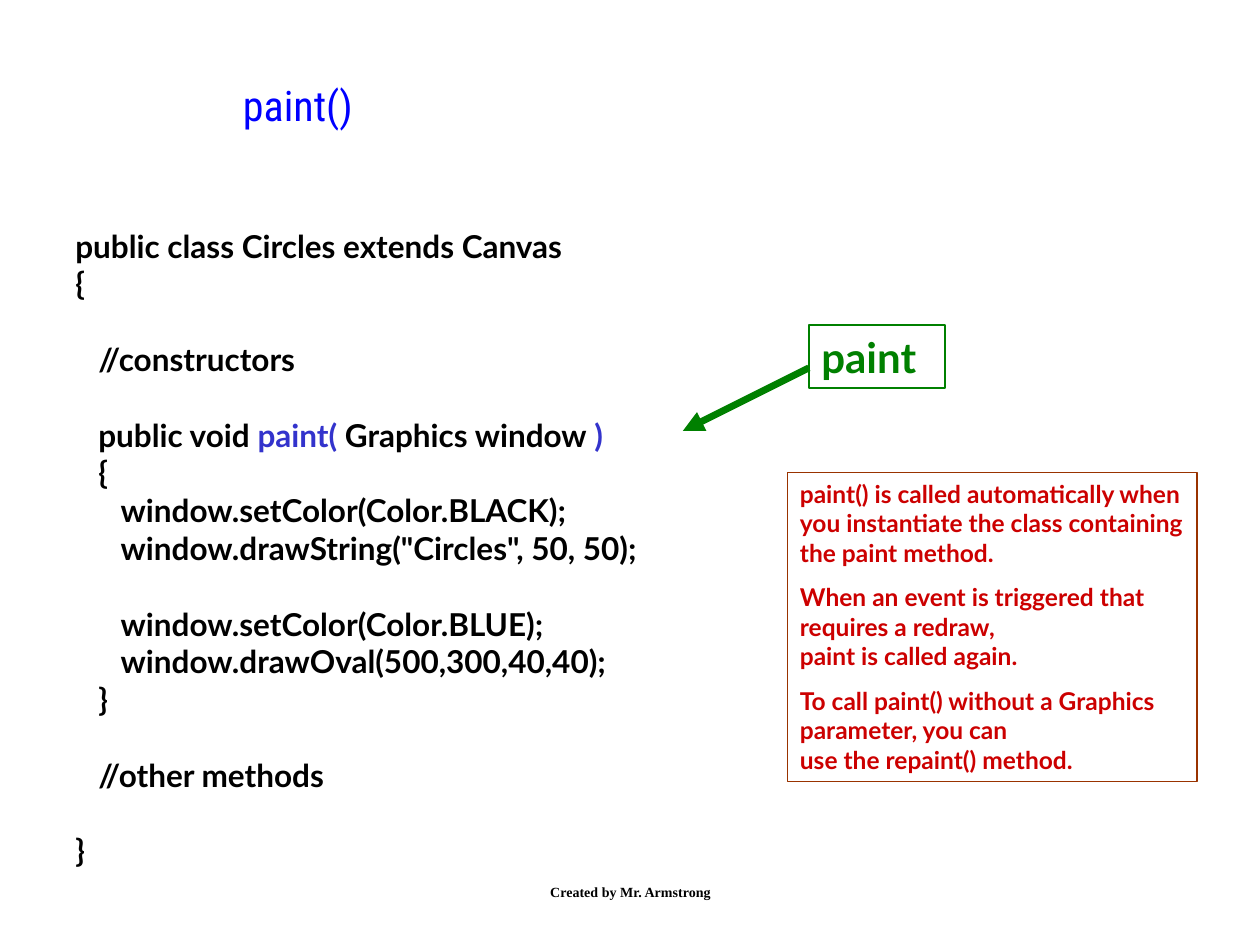
from pptx import Presentation
from pptx.dml.color import RGBColor
from pptx.enum.shapes import MSO_CONNECTOR as CONN, MSO_SHAPE as SHAPE
from pptx.enum.text import MSO_ANCHOR as ANCHOR, PP_ALIGN as ALIGN
from pptx.oxml.ns import qn
from pptx.util import Inches, Pt
from lxml import etree


def color(value):
    return RGBColor.from_string(value)


def style(r, font, size, value, bold=True):
    r.font.name = font
    r.font.size = Pt(size)
    r.font.bold = bold
    r.font.color.rgb = color(value)


prs = Presentation()
prs.slide_width, prs.slide_height = Inches(10), Inches(7.5)
s = prs.slides.add_slide(prs.slide_layouts[6])

code = [
    "public class Circles extends Canvas",
    "{",
    "",
    "   //constructors",
    "",
    "   public void |paint(| Graphics window| )",
    "   {",
    "      window.setColor(Color.BLACK);",
    '      window.drawString("Circles", 50, 50);',
    "",
    "      window.setColor(Color.BLUE);",
    "      window.drawOval(500,300,40,40);",
    "   }",
    "",
    "   //other methods",
    "",
    "}",
]
sp = s.shapes.add_textbox(Inches(0.5), Inches(1.75), Inches(5.67), Inches(5.2))
tf = sp.text_frame
tf.word_wrap = True
p = tf.paragraphs[0]
for i, line in enumerate(code):
    if not line:
        continue
    if i:
        p = tf.add_paragraph()
        p.space_before = Pt(0 if code[i - 1] else 21.6)
    for j, part in enumerate(line.split("|")):
        r = p.add_run()
        r.text = part
        style(r, "Lato", 18, "3333CC" if j % 2 else "000000")

notes = [
    "paint() is called automatically when you instantiate the class containing the paint method.",
    "When an event is triggered that requires a redraw,\vpaint is called again.",
    "To call paint() without a Graphics parameter, you can\vuse the repaint() method.",
]
boxes = [
    (6.25, 3.75, 3.25, 2.45, "993300", "CC0000", 14, notes),
    (6.42, 2.58, 1.08, 0.5, "008000", "008000", 24, ["paint"]),
]
for x, y, w, h, border, ink, size, texts in boxes:
    sp = s.shapes.add_shape(SHAPE.RECTANGLE, Inches(x), Inches(y), Inches(w), Inches(h))
    sp.shadow.inherit = False
    sp.fill.background()
    sp.line.color.rgb = color(border)
    sp.line.width = Pt(0.75)
    tf = sp.text_frame
    tf.word_wrap = True
    tf.vertical_anchor = ANCHOR.TOP
    tf.text = "\n".join(texts)
    for i, p in enumerate(tf.paragraphs):
        p.alignment = ALIGN.LEFT
        p.space_before = Pt(8.8 if i else 0)
        for r in p.runs:
            style(r, "Lato", size, ink)

sp = s.shapes.add_textbox(Inches(1.83), Inches(0.58), Inches(6.08), Inches(0.92))
tf = sp.text_frame
tf.word_wrap = False
tf.text = "paint()"
style(tf.paragraphs[0].runs[0], "Roboto Condensed", 24, "0000FF", False)

sp = s.shapes.add_connector(CONN.STRAIGHT, Inches(6.42), Inches(2.92), Inches(5.42), Inches(3.42))
sp.line.color.rgb = color("008000")
sp.line.width = Pt(4)
etree.SubElement(sp.line._get_or_add_ln(), qn("a:tailEnd"), type="triangle")
etree.SubElement(sp._element.spPr, qn("a:effectLst"))

sp = s.shapes.add_textbox(Inches(3.42), Inches(6.83), Inches(3.17), Inches(0.5))
tf = sp.text_frame
tf.word_wrap = True
tf.vertical_anchor = ANCHOR.MIDDLE
tf.text = "Created by Mr. Armstrong"
p = tf.paragraphs[0]
p.alignment = ALIGN.CENTER
style(p.runs[0], "Times New Roman", 8, "000000")

prs.save("out.pptx")
